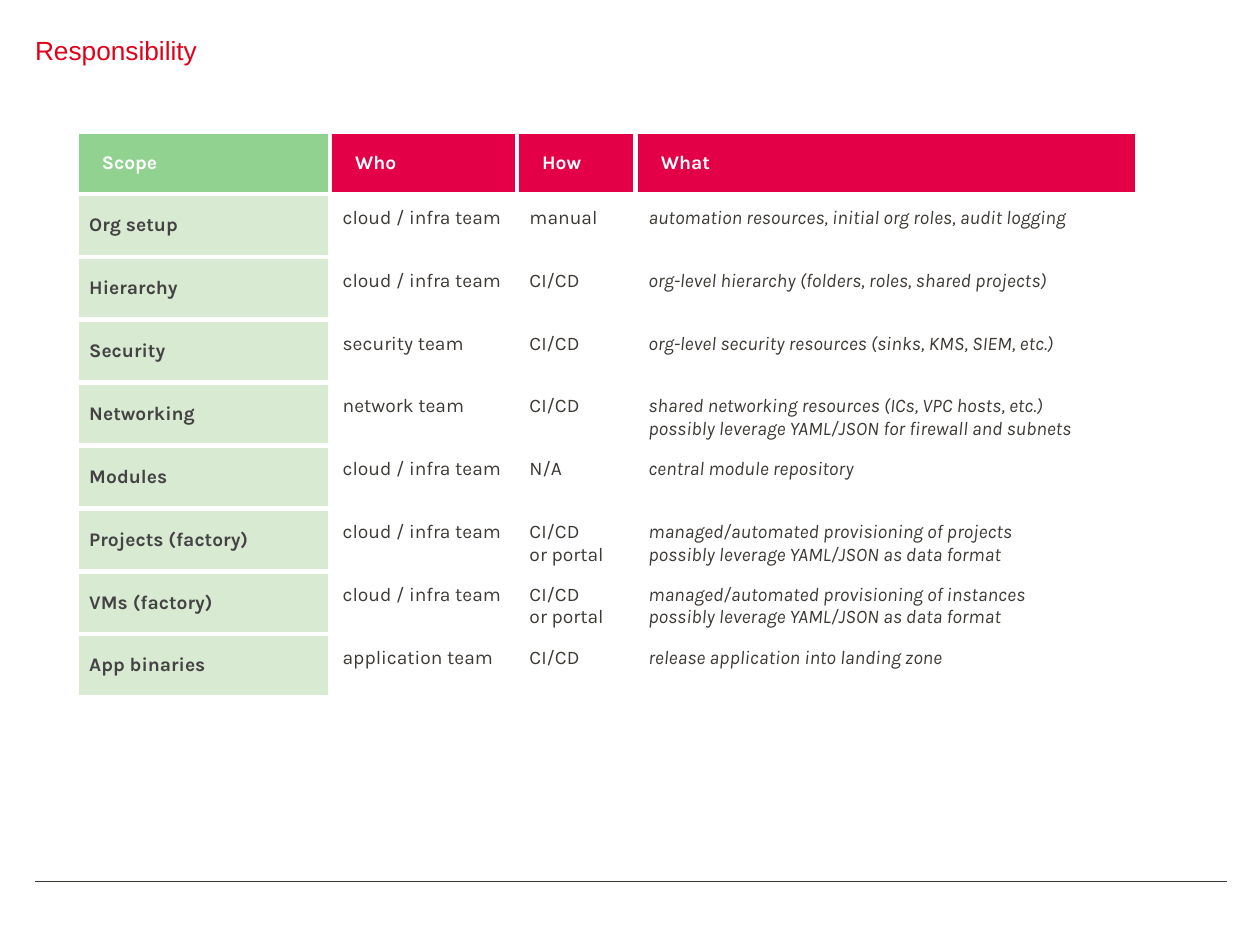
from lxml.etree import SubElement
from pptx import Presentation
from pptx.dml.color import RGBColor
from pptx.enum.shapes import MSO_CONNECTOR
from pptx.enum.text import MSO_ANCHOR, PP_ALIGN
from pptx.oxml import parse_xml
from pptx.oxml.ns import nsdecls, qn
from pptx.util import Pt

WHITE = RGBColor(0xFF, 0xFF, 0xFF)
TITLE_RED = RGBColor(0xDF, 0x02, 0x1B)
HEADER_RED = RGBColor(0xE4, 0x00, 0x46)
HEADER_GREEN = RGBColor(0x91, 0xD2, 0x91)
PALE_GREEN = RGBColor(0xD9, 0xEA, 0xD3)
SCOPE_GREY = RGBColor(0x43, 0x43, 0x43)
BODY_GREY = RGBColor(0x3D, 0x39, 0x35)
RULE_GREY = RGBColor(0x3C, 0x38, 0x34)

COLUMN_WIDTHS = [144.8, 106.8, 67.9, 286.5]
ROW_HEIGHT = 35.92
HEADERS = ["Scope", "Who", "How", "What"]
ROWS = [
    ["Org setup", "cloud / infra team", "manual",
     "automation resources, initial org roles, audit logging"],
    ["Hierarchy", "cloud / infra team", "CI/CD",
     "org-level hierarchy (folders, roles, shared projects)"],
    ["Security", "security team", "CI/CD",
     "org-level security resources (sinks, KMS, SIEM, etc.)"],
    ["Networking", "network team", "CI/CD",
     "shared networking resources (ICs, VPC hosts, etc.)\v"
     "possibly leverage YAML/JSON for firewall and subnets"],
    ["Modules", "cloud / infra team", "N/A", "central module repository"],
    ["Projects (factory)", "cloud / infra team", "CI/CD\nor portal",
     "managed/automated provisioning of projects\n"
     "possibly leverage YAML/JSON as data format"],
    ["VMs (factory)", "cloud / infra team", "CI/CD\nor portal",
     "managed/automated provisioning of instances\n"
     "possibly leverage YAML/JSON as data format"],
    ["App binaries", "application team", "CI/CD",
     "release application into landing zone"],
]


def write_text(text_frame, text, font="Karla", size=11, color=BODY_GREY,
               bold=False, italic=False, indent=0, line_spacing=1.0):
    text_frame.text = text
    for paragraph in text_frame.paragraphs:
        paragraph.alignment = PP_ALIGN.LEFT
        paragraph.line_spacing = line_spacing
        properties = paragraph._p.get_or_add_pPr()
        properties.set("marL", str(Pt(indent)))
        properties.set("indent", "0")
        for run in paragraph.runs:
            run.font.name = font
            run.font.size = Pt(size)
            run.font.color.rgb = color
            run.font.bold = bold
            run.font.italic = italic


def format_cell(cell, fill, insets, anchor):
    cell.margin_left, cell.margin_top, cell.margin_right, cell.margin_bottom = map(Pt, insets)
    cell.vertical_anchor = anchor
    properties = cell._tc.get_or_add_tcPr()
    for side in ("lnL", "lnR", "lnT", "lnB"):
        properties.append(parse_xml(
            f'<a:{side} {nsdecls("a")} w="{Pt(3)}"><a:solidFill>'
            f'<a:srgbClr val="{WHITE}"/></a:solidFill></a:{side}>'))
    cell.fill.solid()
    cell.fill.fore_color.rgb = fill


presentation = Presentation()
presentation.slide_width = Pt(720)
presentation.slide_height = Pt(540)
slide = presentation.slides.add_slide(presentation.slide_layouts[5])

rule = slide.shapes.add_connector(MSO_CONNECTOR.STRAIGHT, Pt(20), Pt(503.75), Pt(701), Pt(503.75))
rule.line.color.rgb = RULE_GREY
rule.line.width = Pt(0.75)
SubElement(rule._element.spPr, qn("a:effectLst"))

title = slide.shapes.title
title.left, title.top, title.width, title.height = Pt(20), Pt(21.6), Pt(681), Pt(18)
title_frame = title.text_frame
title_frame.margin_left = title_frame.margin_top = 0
title_frame.margin_right = title_frame.margin_bottom = 0
title_frame.vertical_anchor = MSO_ANCHOR.TOP
write_text(title_frame, "Responsibility", font="Arial", size=15, color=TITLE_RED, line_spacing=0.9)

row_count = len(ROWS) + 1
table = slide.shapes.add_table(row_count, len(HEADERS), Pt(43.8), Pt(75),
                               Pt(sum(COLUMN_WIDTHS)), Pt(ROW_HEIGHT * row_count)).table
table.first_row = False
table.horz_banding = False
for column, width in zip(table.columns, COLUMN_WIDTHS):
    column.width = Pt(width)
for row in table.rows:
    row.height = Pt(ROW_HEIGHT)

for column_index, header in enumerate(HEADERS):
    cell = table.cell(0, column_index)
    fill = HEADER_GREEN if column_index == 0 else HEADER_RED
    write_text(cell.text_frame, header, color=WHITE, bold=True, indent=7.2)
    format_cell(cell, fill, (7.2, 3.6, 7.2, 3.6), MSO_ANCHOR.MIDDLE)

for row_index, texts in enumerate(ROWS, start=1):
    for column_index, text in enumerate(texts):
        cell = table.cell(row_index, column_index)
        if column_index == 0:
            write_text(cell.text_frame, text, color=SCOPE_GREY, bold=True, indent=7.2)
            format_cell(cell, PALE_GREEN, (0, 0, 7.2, 0), MSO_ANCHOR.MIDDLE)
        else:
            write_text(cell.text_frame, text, italic=column_index == 3)
            format_cell(cell, WHITE, (7.2, 7.2, 7.2, 0), MSO_ANCHOR.TOP)

presentation.save("out.pptx")
